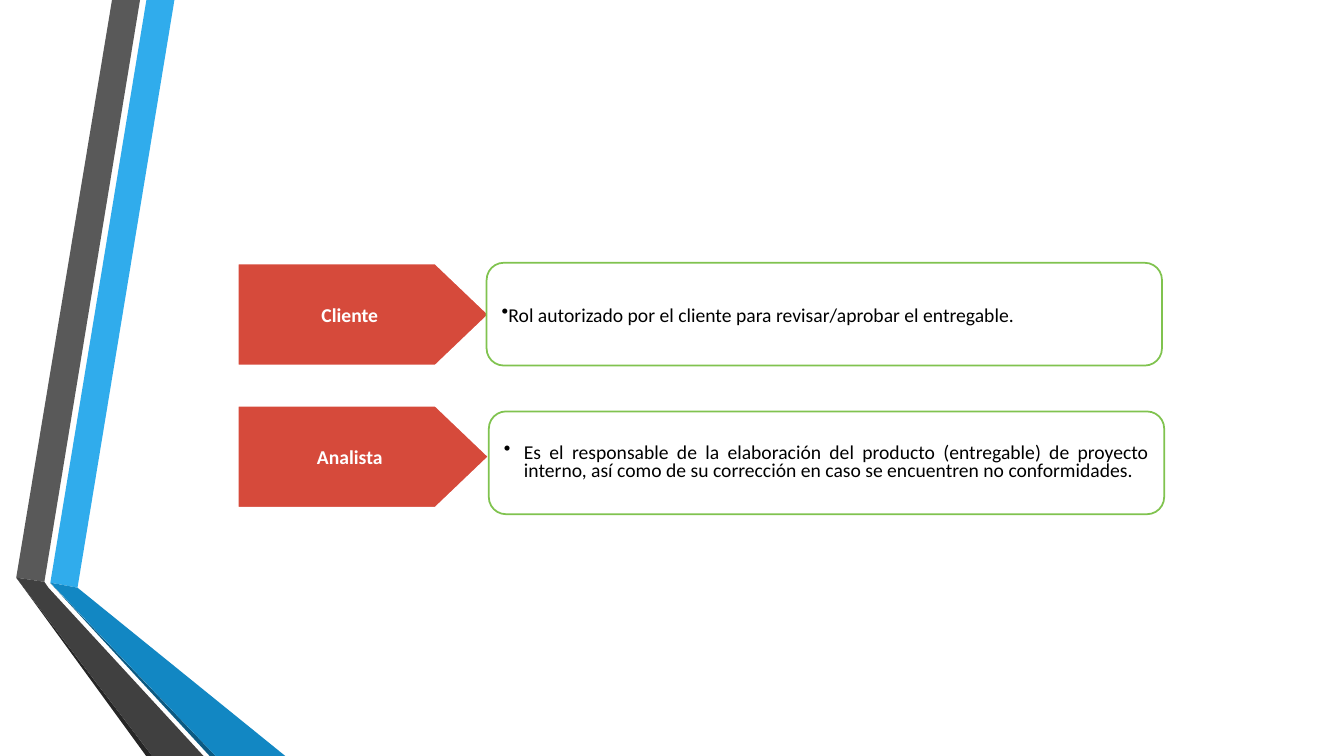
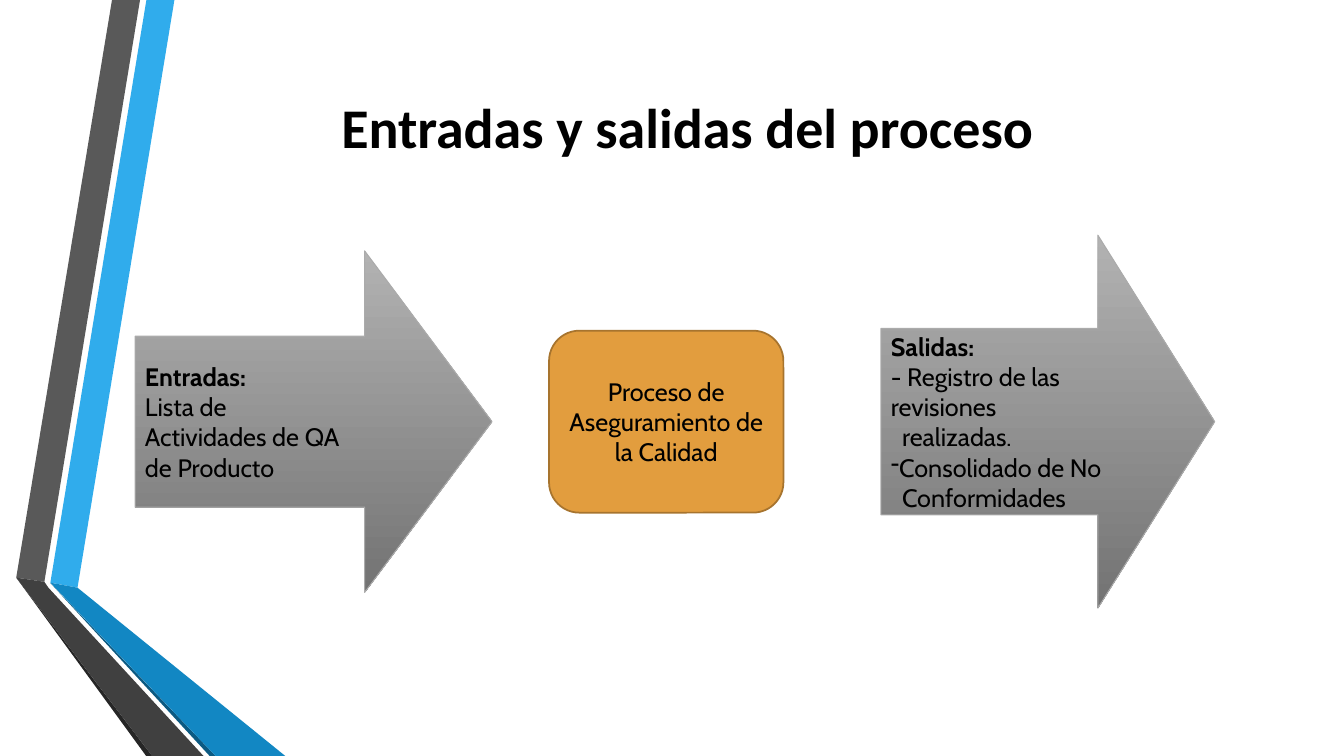
from dataclasses import dataclass

from pptx import Presentation
from pptx.dml.color import RGBColor
from pptx.enum.shapes import MSO_SHAPE as Shape
from pptx.enum.text import MSO_ANCHOR as Anchor, PP_ALIGN as Align
from pptx.oxml.ns import qn
from pptx.util import Pt
from lxml.etree import SubElement


# Colours, fonts and type sizes
@dataclass(frozen=True)
class Theme:
    white: str = "FFFFFF"
    black: str = "000000"
    red: str = "D64A3B"
    green: str = "80C34F"
    orange: str = "E29D3E"
    brown: str = "A7742E"
    silver: str = "ABABAB"
    arrow_fade: tuple = ("B2B2B2", "737373")
    sky: str = "30ACEC"
    blue: str = "1287C3"
    navy: str = "0C5A82"
    gray: str = "595959"
    dark_gray: str = "404040"
    coal: str = "262626"
    role_font: str = "Calibri"
    flow_font: str = "Cabin"
    title_size: int = 40
    flow_size: int = 18
    role_size: int = 14


@dataclass(frozen=True)
class Span:
    text: str
    bold: bool = False
    break_after: bool = False


@dataclass(frozen=True)
class Para:
    spans: tuple
    align: Align = Align.LEFT
    bullet: str = ""
    left: float = 0
    first: float = 0
    line_spacing: float = 1.0
    gap: float = 0


def plain(text, **options):
    return Para((Span(text),), **options)


def bold(text, **options):
    return Para((Span(text, bold=True),), **options)


class Painter:
    def __init__(self, deck, theme):
        self.deck = deck
        self.theme = theme
        self.page = None
        # Folded ribbons at the left edge
        self.ribbons = (
            (theme.sky, ((36, 416.2), (55.4, 419.8), (124.6, 0), (104.6, 0))),
            (theme.gray, ((100, 0), (80, 0), (11.6, 412.6), (31.7, 415.6))),
            (theme.coal, ((11.6, 412.6), (104.4, 540), (108.7, 540))),
            (theme.navy, ((36, 416.5), (149.8, 540), (154.1, 540))),
            (theme.blue, ((36, 416.2), (154.1, 540), (203.8, 540), (55.4, 419.8))),
            (theme.dark_gray, ((145.4, 540), (34.6, 419.8), (31.7, 415.6),
                               (11.6, 412.6), (108.7, 540))),
        )

    def new_page(self):
        self.page = self.deck.slides.add_slide(self.deck.slide_layouts[6])
        for color, points in self.ribbons:
            self.outline(points, color)

    def outline(self, points, color):
        corners = [(Pt(x), Pt(y)) for x, y in points]
        builder = self.page.shapes.build_freeform(*corners[0])
        builder.add_line_segments(corners[1:], close=True)
        ribbon = builder.convert_to_shape()
        ribbon.shadow.inherit = False
        self.paint(ribbon.fill, color)
        ribbon.line.fill.background()

    def paint(self, fill, color):
        if isinstance(color, tuple):
            fill.gradient()
            fill.gradient_angle = 270
            for stop, shade in zip(fill.gradient_stops, color):
                stop.color.rgb = RGBColor.from_string(shade)
        else:
            fill.solid()
            fill.fore_color.rgb = RGBColor.from_string(color)

    def shape(self, kind, place, fill, line, weight, adjust=()):
        box = self.page.shapes.add_shape(kind, *map(Pt, place))
        box.shadow.inherit = False
        for index, value in enumerate(adjust):
            box.adjustments[index] = value
        self.paint(box.fill, fill)
        box.line.color.rgb = RGBColor.from_string(line)
        box.line.width = Pt(weight)
        return box

    def add_text(self, box, paras, font, size, color):
        frame = box.text_frame
        frame.word_wrap = True
        frame.vertical_anchor = Anchor.MIDDLE
        for index, item in enumerate(paras):
            para = frame.add_paragraph() if index else frame.paragraphs[0]
            para.alignment = item.align
            para.line_spacing = item.line_spacing
            para.space_before = para.space_after = Pt(item.gap)
            self.indent(para, item)
            for part in item.spans:
                span = para.add_run()
                span.text = part.text
                span.font.name = font
                span.font.size = Pt(size)
                span.font.bold = part.bold
                span.font.color.rgb = RGBColor.from_string(color)
                if part.break_after:
                    para.add_line_break()

    def indent(self, para, item):
        settings = para._p.get_or_add_pPr()
        settings.set("marL", str(Pt(item.left)))
        settings.set("indent", str(Pt(item.first)))
        if item.bullet:
            SubElement(settings, qn("a:buChar")).set("char", item.bullet)

    def title(self, text):
        box = self.page.shapes.add_textbox(*map(Pt, (96.5, 20.9, 789, 138.2)))
        self.add_text(box, [bold(text, align=Align.CENTER)], self.theme.role_font,
                      self.theme.title_size, self.theme.black)

    def role(self, name, duty, tag_top, box_left, box_top):
        look = self.theme
        tag = self.shape(Shape.PENTAGON, (169.5, tag_top, 180, 73.4),
                         look.red, look.white, 1.75, (0.523,))
        self.add_text(tag, [bold(name, align=Align.CENTER)],
                      look.role_font, look.role_size, look.white)
        box = self.shape(Shape.ROUNDED_RECTANGLE, (box_left, box_top, 482.4, 73.4),
                         look.white, look.green, 1.25)
        self.add_text(box, [duty], look.role_font, look.role_size, look.black)

    def flow_arrow(self, place, head, paras):
        look = self.theme
        arrow = self.shape(Shape.RIGHT_ARROW, place, look.arrow_fade,
                           look.silver, 0.75, (0.5, head))
        self.add_text(arrow, paras, look.flow_font, look.flow_size, look.black)

    def process(self, place, text):
        look = self.theme
        box = self.shape(Shape.ROUNDED_RECTANGLE, place, look.orange, look.brown, 1.25)
        self.add_text(box, [plain(text, align=Align.CENTER)],
                      look.flow_font, look.flow_size, look.black)


deck = Presentation()
deck.slide_width, deck.slide_height = Pt(960), Pt(540)
painter = Painter(deck, Theme())

# Roles
painter.new_page()
painter.role(
    "Cliente",
    plain("Rol autorizado por el cliente para revisar/aprobar el entregable.", bullet="•"),
    188, 347.6, 187.7)
painter.role(
    "Analista",
    plain("Es el responsable de la elaboración del producto (entregable) de proyecto "
          "interno, así como de su corrección en caso se encuentren no conformidades.",
          align=Align.JUSTIFY, bullet="•", left=14.4, first=-14.4,
          line_spacing=0.8, gap=3.5),
    289.5, 349.2, 293.9)

# Inputs, process and outputs
painter.new_page()
painter.title("Entradas y salidas del proceso")
painter.flow_arrow((96.5, 179.2, 255, 244), 0.373, [
    Para((Span("Entradas:", bold=True, break_after=True), Span("Lista de"))),
    plain("Actividades de QA"),
    plain("de Producto"),
])
painter.process((392.2, 236.2, 167.4, 130), "Proceso de Aseguramiento de la Calidad")
painter.flow_arrow((629.3, 168, 238.4, 266.4), 0.35, [
    Para((Span("Salidas:", bold=True, break_after=True),
          Span("- Registro de las revisiones"))),
    plain("realizadas.", left=8),
    plain("Consolidado de No", bullet="-"),
    plain("Conformidades", left=8),
])

deck.save("out.pptx")
